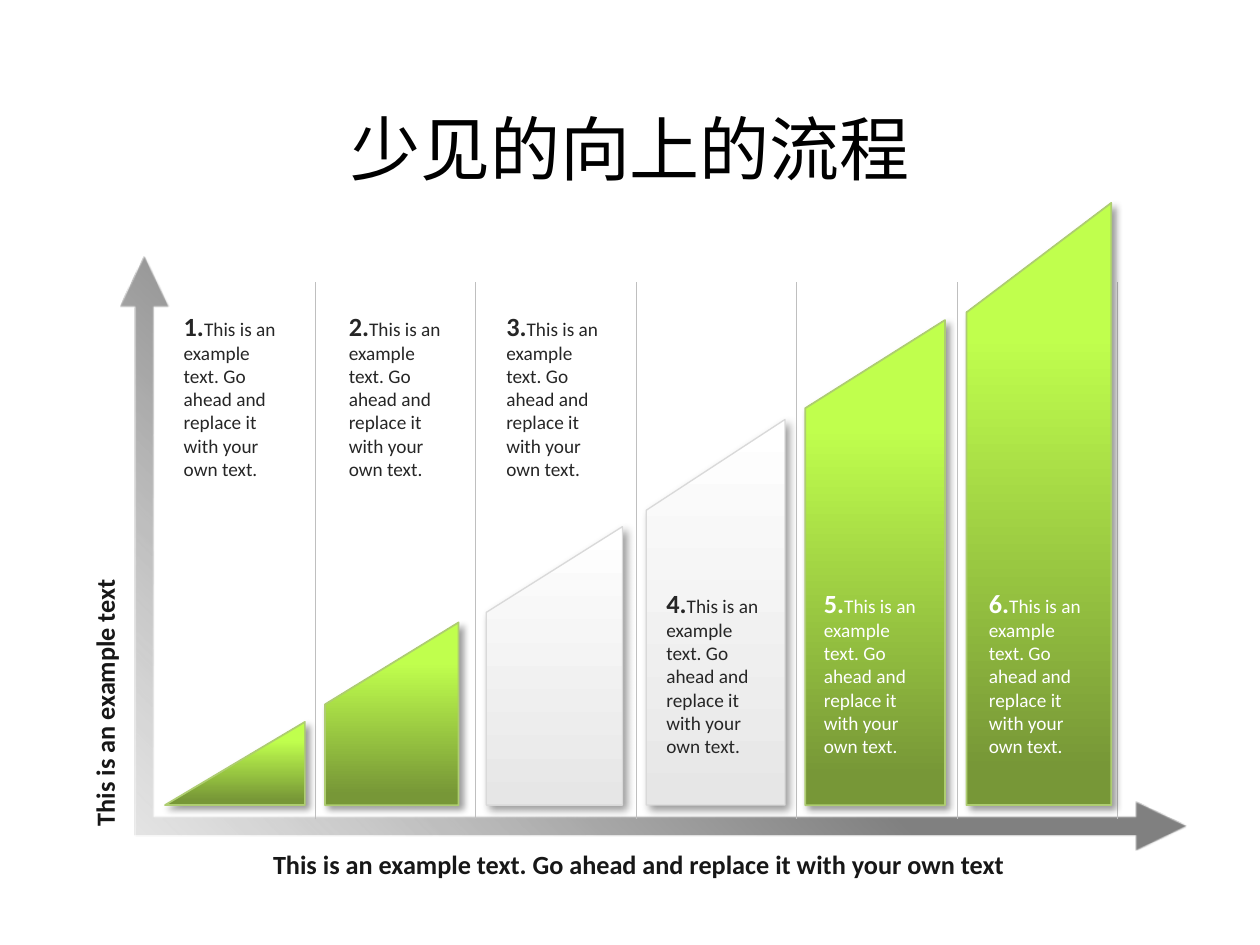
"""Build a slide of six rising steps between two axis arrows."""
from dataclasses import dataclass

from lxml import etree
from pptx import Presentation
from pptx.dml.color import RGBColor
from pptx.enum.shapes import MSO_CONNECTOR, MSO_SHAPE
from pptx.enum.text import MSO_ANCHOR, MSO_AUTO_SIZE, PP_ALIGN
from pptx.oxml import parse_xml
from pptx.oxml.ns import nsdecls, qn
from pptx.util import Inches, Pt

STRAIGHT = MSO_CONNECTOR.STRAIGHT
AXES = MSO_SHAPE.LEFT_UP_ARROW
MIDDLE = MSO_ANCHOR.MIDDLE
FIT = MSO_AUTO_SIZE.SHAPE_TO_FIT_TEXT
LEFT, CENTER = PP_ALIGN.LEFT, PP_ALIGN.CENTER
COLS, ROWS = 100, 75


@dataclass(frozen=True)
class Theme:
    font: str = "Calibri"
    title: str = "000000"
    label: str = "171717"
    dark: str = "262626"
    light: str = "FFFFFF"
    rule: str = "BFBFBF"
    axes: tuple = ((51, "808080", 100), (69, "A6A6A6", 100), (100, "D9D9D9", 63))
    green: tuple = ((6, "779737", 100), (78, "C0FF4D", 100))
    grey: tuple = ((0, "E6E6E6", 100), (100, "FFFFFF", 100))
    green_edge: tuple = ("AECD71", 1, 4)
    grey_edge: tuple = ("D9D9D9", 0.75, 5)
    title_size: int = 40
    label_size: int = 15
    body_size: int = 11


class Deck:
    """Hold the theme and slide, and place elements by grid column and row."""

    def __init__(self, prs, theme):
        self.theme = theme
        self.cell_w, self.cell_h = prs.slide_width / COLS, prs.slide_height / ROWS
        self.s = prs.slides.add_slide(prs.slide_layouts[5])

    def at(self, col, row):
        return round(col * self.cell_w), round(row * self.cell_h)

    def box(self, col, row, cols, rows):
        return *self.at(col, row), *self.at(cols, rows)

    def fill_text(self, tf, runs, align=LEFT):
        p = tf.paragraphs[0]
        p.alignment = align
        for text, size, color, bold in runs:
            r = p.add_run()
            r.text = text
            values = {"name": self.theme.font, "size": Pt(size), "bold": bold}
            for key, value in values.items():
                setattr(r.font, key, value)
            r.font.color.rgb = RGBColor.from_string(color)

    def title(self, text, *place):
        sp = self.s.shapes.title
        for key, value in zip(("left", "top", "width", "height"), self.box(*place)):
            setattr(sp, key, value)
        sp.text_frame.vertical_anchor = MIDDLE
        run = (text, self.theme.title_size, self.theme.title, False)
        self.fill_text(sp.text_frame, [run], CENTER)

    def text(self, runs, place, align=LEFT, rotation=0):
        sp = self.s.shapes.add_textbox(*self.box(*place))
        sp.rotation = rotation
        tf = sp.text_frame
        for key, value in {"word_wrap": True, "auto_size": FIT}.items():
            setattr(tf, key, value)
        self.fill_text(tf, runs, align)

    def label(self, text, place, align=LEFT, rotation=0):
        run = (text, self.theme.label_size, self.theme.label, True)
        self.text([run], place, align, rotation)

    def gradient(self, sp, stops, angle):
        sp.fill.gradient()
        old = sp.element.spPr.find(qn("a:gradFill"))
        gs = "".join(
            f'<a:gs pos="{pos * 1000}"><a:srgbClr val="{color}">'
            f'<a:alpha val="{alpha * 1000}"/></a:srgbClr></a:gs>'
            for pos, color, alpha in stops)
        sp.element.spPr.replace(old, parse_xml(
            f'<a:gradFill {nsdecls("a")} rotWithShape="1"><a:gsLst>{gs}</a:gsLst>'
            f'<a:lin ang="{angle * 60000}" scaled="0"/></a:gradFill>'))

    def axes(self, place, adjustments):
        sp = self.s.shapes.add_shape(AXES, *self.box(*place))
        sp.shadow.inherit = False
        for i, value in enumerate(adjustments):
            sp.adjustments[i] = value
        sp.element.spPr.find(qn("a:xfrm")).set("flipH", "1")
        self.gradient(sp, self.theme.axes, 45)
        sp.line.fill.background()

    def rule(self, col, top, bottom):
        sp = self.s.shapes.add_connector(
            STRAIGHT, *self.at(col, bottom), *self.at(col, top))
        sp.line.color.rgb = RGBColor.from_string(self.theme.rule)
        sp.line.width = Pt(0.5)
        etree.SubElement(sp.element.spPr, qn("a:effectLst"))

    def bar(self, left, right, shoulder, peak, base, stops, edge):
        color, width, blur = edge
        corners = [(left, shoulder), (left, base), (right, base), (right, peak)]
        points = [self.at(*corner) for corner in dict.fromkeys(corners)]
        builder = self.s.shapes.build_freeform(*points[0])
        builder.add_line_segments(points[1:], close=True)
        sp = builder.convert_to_shape()
        self.gradient(sp, stops, 270)
        sp.line.color.rgb = RGBColor.from_string(color)
        sp.line.width = Pt(width)
        sp.shadow.inherit = False
        sp.element.spPr.find(qn("a:effectLst")).append(parse_xml(
            f'<a:outerShdw {nsdecls("a")} blurRad="{Pt(blur)}" dist="{Pt(3)}" '
            f'dir="{45 * 60000}" algn="tl" rotWithShape="0">'
            '<a:srgbClr val="000000"><a:alpha val="40000"/></a:srgbClr></a:outerShdw>'))

    def step(self, number, col, row, color):
        text = "This is an example text. Go ahead and replace it with your own text."
        runs = [(f"{number}.", self.theme.label_size, color, True),
                (text, self.theme.body_size, color, False)]
        self.text(runs, (col, row, 9.7, 14.6))


def main():
    prs = Presentation()
    prs.slide_width, prs.slide_height = Inches(10), Inches(7.5)
    theme = Theme()
    deck = Deck(prs, theme)
    deck.title("少见的向上的流程", 5, 7.8, 90, 7.8)
    deck.axes((9.6, 20.4, 84.6, 47.1), (0.031, 0.041, 0.085))
    for i in range(6):
        deck.rule(25 + 12.74 * i, 22.4, 65)
    deck.label("This is an example text. Go ahead and replace it with your own text",
               (15, 66.8, 71.4, 3.5), CENTER)
    deck.label("This is an example text", (-7.9, 48.6, 32.4, 3.5), rotation=270)

    base, upper, lower = 63.9, 24.1, 46.1
    green = theme.green, theme.green_edge
    grey = theme.grey, theme.grey_edge
    steps = [
        (13.1, 24.2, base, 57.3, green, 13.6, upper, theme.dark),
        (25.8, 36.4, 55.9, 49.4, green, 26.7, upper, theme.dark),
        (38.6, 49.4, 48.6, 41.8, grey, 39.2, upper, theme.dark),
        (51.3, 62.3, 40.5, 33.3, grey, 51.9, lower, theme.dark),
        (63.9, 75, 32.4, 25.4, green, 64.4, lower, theme.light),
        (76.7, 88.2, 24.8, 16.1, green, 77.5, lower, theme.light),
    ]
    for left, right, shoulder, peak, look, *_ in steps:
        deck.bar(left, right, shoulder, peak, base, *look)
    for number, (*_, col, row, color) in enumerate(steps, 1):
        deck.step(number, col, row, color)
    prs.save("out.pptx")


if __name__ == "__main__":
    main()
